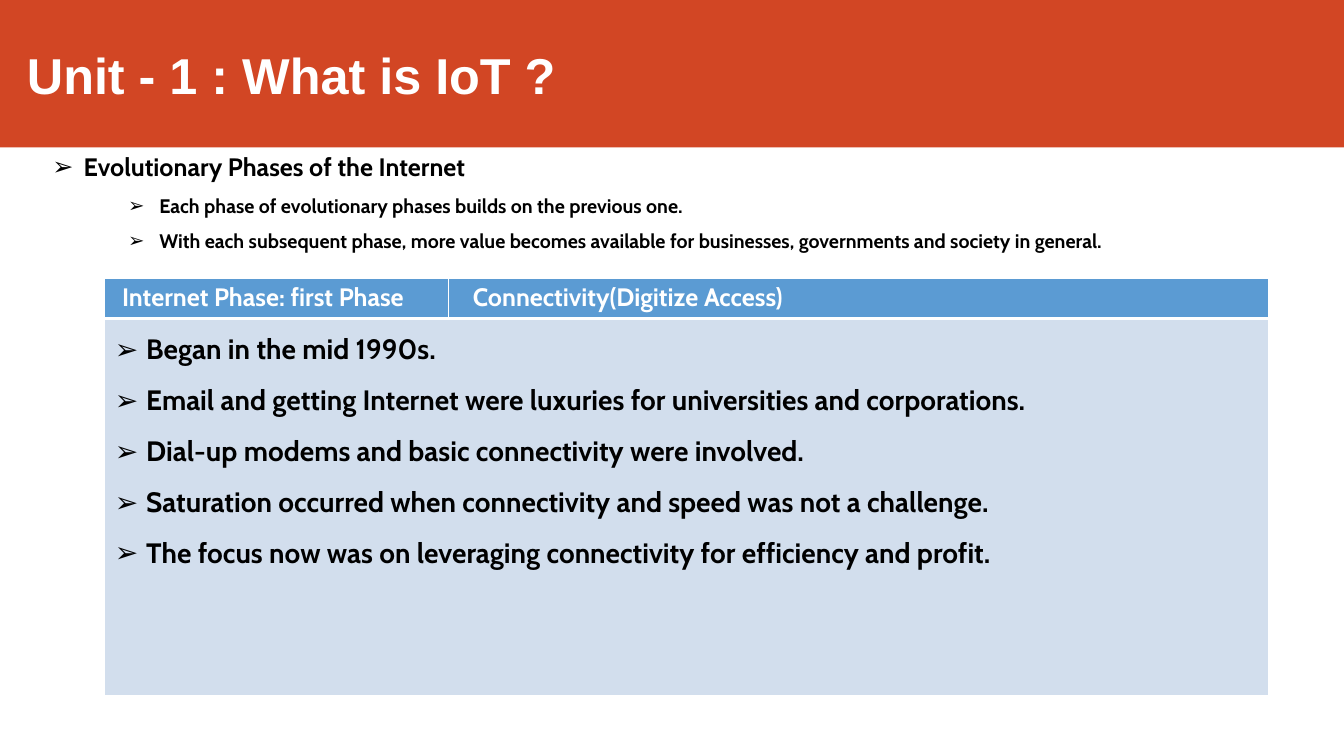
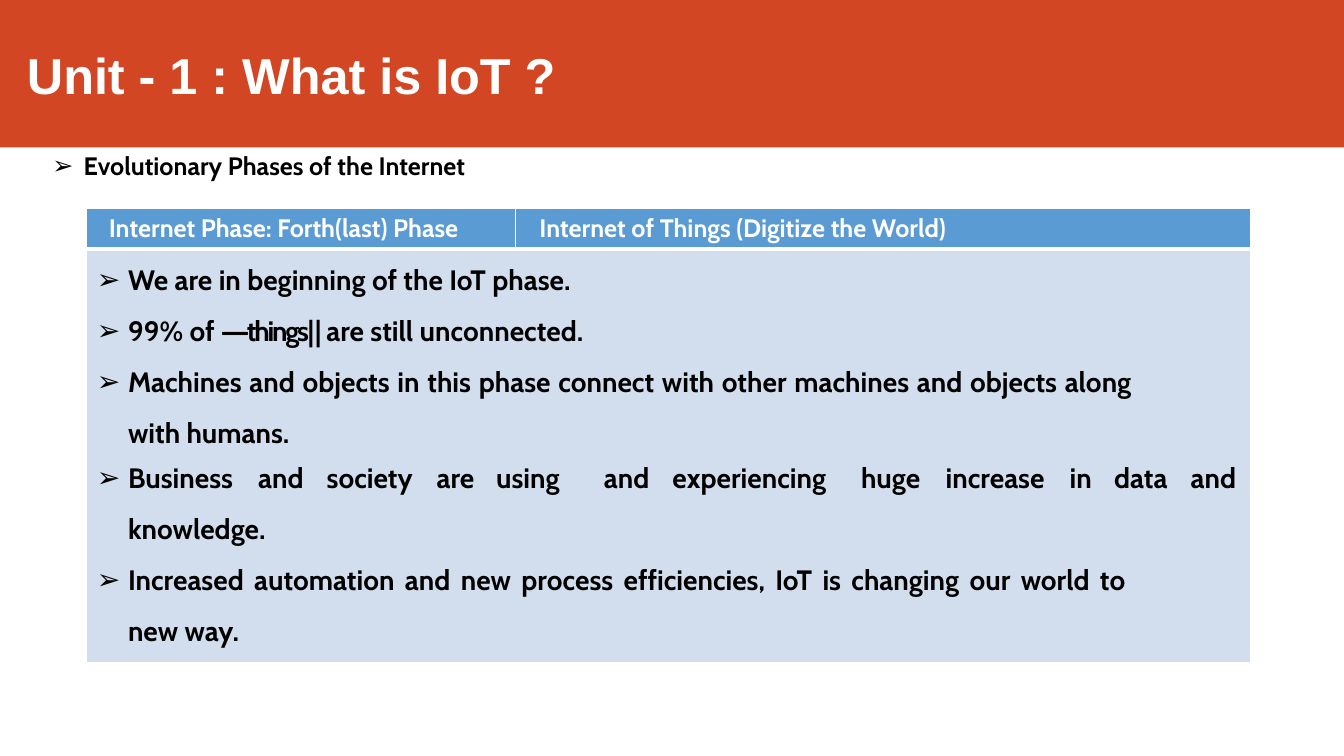
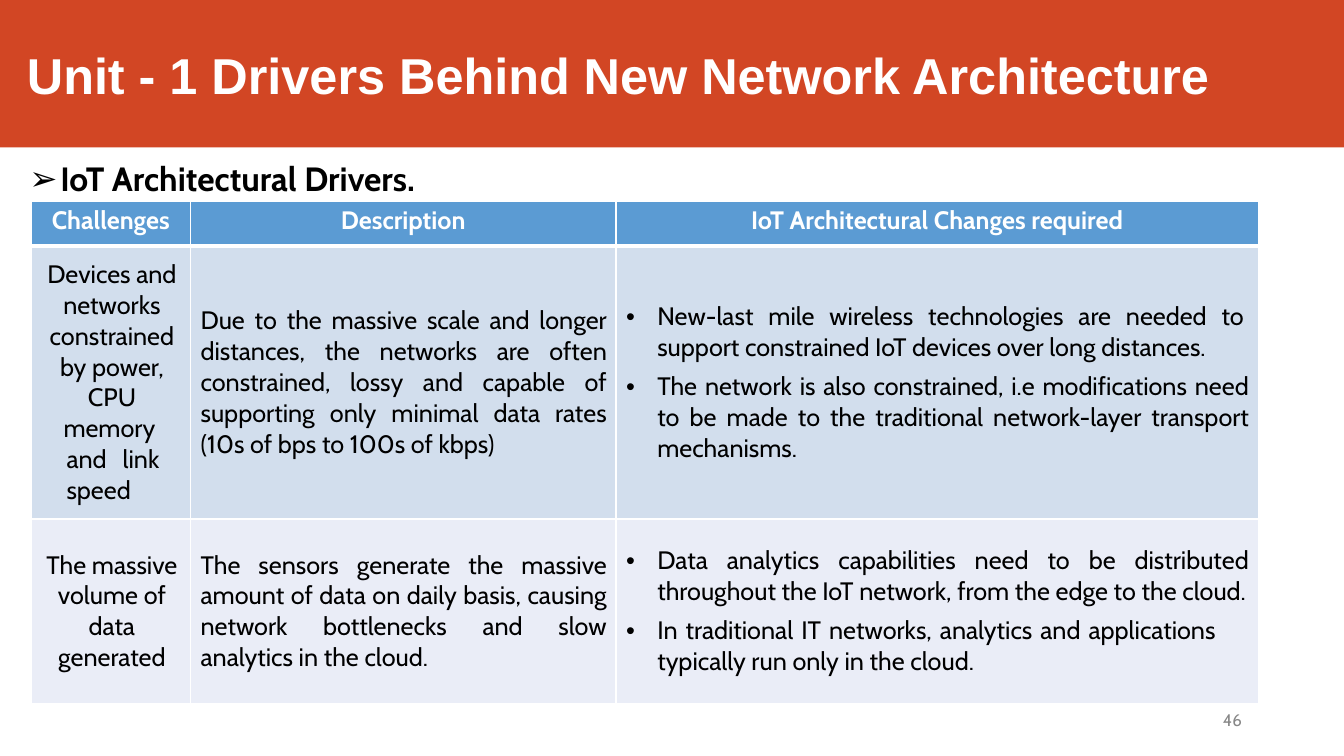
from dataclasses import dataclass

from lxml import etree
from pptx import Presentation
from pptx.dml.color import RGBColor
from pptx.enum.shapes import MSO_SHAPE
from pptx.enum.text import MSO_ANCHOR, PP_ALIGN
from pptx.oxml.ns import qn
from pptx.util import Inches, Pt

# Shared look
WIDTH, HEIGHT = 13.33, 7.5
BAND_HEIGHT = 0.195 * HEIGHT
TITLE_BOX = (0.02 * WIDTH, 0.44, 0.94 * WIDTH, 0.63)
TITLE_FONT, BODY_FONT = "Arial", "Cabin"
ORANGE = RGBColor(0xD2, 0x46, 0x24)
BLUE = RGBColor(0x5B, 0x9B, 0xD3)
PALE_BLUE = RGBColor(0xD2, 0xDE, 0xED)
PALE_LILAC = RGBColor(0xEA, 0xED, 0xF7)
WHITE = RGBColor(0xFF, 0xFF, 0xFF)
BLACK = RGBColor(0, 0, 0)
GREY = RGBColor(0x87, 0x87, 0x87)
LEFT, CENTER, JUSTIFY = PP_ALIGN.LEFT, PP_ALIGN.CENTER, PP_ALIGN.JUSTIFY
TOP, MIDDLE = MSO_ANCHOR.TOP, MSO_ANCHOR.MIDDLE
RECTANGLE = MSO_SHAPE.RECTANGLE
ARROW, DOT = "➢", "•"
HANG = -0.31
THIN, THICK = 1, 3


@dataclass
class Line:
    """One paragraph: lengths in inches, sizes and spacing in points."""
    text: str
    size: float = 18
    bold: bool = True
    color: RGBColor = BLACK
    font: str = BODY_FONT
    align: PP_ALIGN = LEFT
    left: float = 0
    right: float = 0
    first: float = 0
    before: float = 0
    spacing: float = 1
    bullet: str = ""
    tabs: tuple = ()
    tight: str = ""


def arrow(text, left=0.41, size=20, **options):
    return Line(text, size, left=left, first=HANG, bullet=ARROW, **options)


def dot(text, right=0.09, **options):
    return Line(text, bold=False, align=JUSTIFY, left=0.41, right=right,
                first=HANG, bullet=DOT, **options)


def centered(text):
    return Line(text, bold=False, align=CENTER, left=0.12, right=0.1)


def justified(text, left=0.1, right=0.09, **options):
    return Line(text, bold=False, align=JUSTIFY, left=left, right=right, **options)


def header(text, left=0.0, align=LEFT):
    return Line(text, color=WHITE, left=left, align=align)


# Text
def write_paragraph(paragraph, line):
    paragraph.alignment = line.align
    paragraph.space_before = Pt(line.before)
    paragraph.line_spacing = line.spacing
    properties = paragraph._p.get_or_add_pPr()
    properties.set("marL", str(Inches(line.left)))
    properties.set("marR", str(Inches(line.right)))
    properties.set("indent", str(Inches(line.first)))
    if line.bullet:
        etree.SubElement(properties, qn("a:buFont"), typeface="Arial")
        etree.SubElement(properties, qn("a:buChar"), char=line.bullet)
    if line.tabs:
        tab_list = etree.SubElement(properties, qn("a:tabLst"))
        for position in line.tabs:
            etree.SubElement(tab_list, qn("a:tab"), pos=str(Inches(position)), algn="l")
    font = paragraph.font
    font.name, font.size, font.bold = line.font, Pt(line.size), line.bold
    font.color.rgb = line.color
    pieces = line.text.partition(line.tight) if line.tight else (line.text,)
    for piece in filter(None, pieces):
        run = paragraph.add_run()
        run.text = piece
        if piece == line.tight:
            run.font._element.set("spc", "-160")


def write_lines(frame, lines):
    for index, line in enumerate(lines):
        paragraph = frame.add_paragraph() if index else frame.paragraphs[0]
        write_paragraph(paragraph, line)


def add_text(slide, box, *lines):
    frame = slide.shapes.add_textbox(*map(Inches, box)).text_frame
    frame.word_wrap = True
    frame.margin_left = frame.margin_top = frame.margin_right = frame.margin_bottom = 0
    write_lines(frame, lines)


# Tables
def set_borders(cell, **widths):
    properties = cell._tc.get_or_add_tcPr()
    for position, side in enumerate("LRTB"):
        width = widths.get(side, THIN)
        border = etree.Element(qn("a:ln" + side), w=str(Pt(width)))
        fill = etree.SubElement(border, qn("a:solidFill"))
        etree.SubElement(fill, qn("a:srgbClr"), val=str(WHITE))
        properties.insert(position, border)


def add_table(slide, left, top, columns, rows, cells, body_anchor, body_top=0.0):
    frame = slide.shapes.add_table(len(rows), len(columns), Inches(left), Inches(top),
                                   Inches(sum(columns)), Inches(sum(rows)))
    table = frame.table
    table.first_row = table.horz_banding = False
    for column, width in zip(table.columns, columns):
        column.width = Inches(width)
    for row, height in zip(table.rows, rows):
        row.height = Inches(height)
    for r, row_cells in enumerate(cells):
        if len(row_cells) < len(columns):
            table.cell(r, 0).merge(table.cell(r, len(columns) - 1))
        for c in range(len(columns)):
            cell = table.cell(r, c)
            cell.margin_left = cell.margin_right = cell.margin_bottom = 0
            cell.margin_top = Inches(body_top if r else 0.04)
            cell.vertical_anchor = body_anchor if r else TOP
            cell.fill.solid()
            cell.fill.fore_color.rgb = (BLUE, PALE_BLUE, PALE_LILAC)[r]
            set_borders(cell, T=THICK if r == 1 else THIN, B=THIN if r else THICK)
            if c < len(row_cells):
                write_lines(cell.text_frame, row_cells[c])


# Slides
def add_slide(presentation, title):
    slide = presentation.slides.add_slide(presentation.slide_layouts[6])
    band = slide.shapes.add_shape(RECTANGLE, 0, 0, Inches(WIDTH), Inches(BAND_HEIGHT))
    band.shadow.inherit = False
    band.fill.solid()
    band.fill.fore_color.rgb = ORANGE
    band.line.fill.background()
    add_text(slide, TITLE_BOX, Line(title, 36, color=WHITE, font=TITLE_FONT))
    return slide


def add_first_phase(presentation):
    slide = add_slide(presentation, "Unit - 1 : What is IoT ?")
    add_text(
        slide, (0.5, 1.5, 11.28, 1.01),
        arrow("Evolutionary Phases of the Internet", 0.33, 18),
        arrow("Each phase of evolutionary phases builds on the previous one.",
              1.08, 14, before=9.2),
        arrow("With each subsequent phase, more value becomes available for "
              "businesses, governments and society in general.", 1.08, 14, before=7.9))
    facts = [
        "Began in the mid 1990s.",
        "Email and getting Internet were luxuries for universities and corporations.",
        "Dial-up modems and basic connectivity were involved.",
        "Saturation occurred when connectivity and speed was not a challenge.",
        "The focus now was on leveraging connectivity for efficiency and profit.",
    ]
    add_table(slide, 1.04, 2.76, (3.41, 8.13), (0.4, 3.74), [
        [[header("Internet Phase: first Phase", 0.17)],
         [header("Connectivity(Digitize Access)", 0.24)]],
        [[arrow(fact, before=12) for fact in facts]],
    ], TOP, 0.14)


def add_last_phase(presentation):
    slide = add_slide(presentation, "Unit - 1 : What is IoT ?")
    add_text(slide, (0.5, 1.49, 4.46, 0.32),
             arrow("Evolutionary Phases of the Internet", 0.33, 18))
    word_stops = (0.41, 1.7, 2.38, 3.47, 4.06, 5.13, 5.81, 7.68, 8.52, 9.75, 10.19, 10.95)
    facts = [
        arrow("We are in beginning of the IoT phase."),
        arrow("99% of ―things‖ are still unconnected.", before=12, tight="―things‖ "),
        arrow("Machines and objects in this phase connect with other machines and "
              "objects along with humans.", align=JUSTIFY, right=1.17, spacing=1.5),
        arrow("Business\tand\tsociety\tare\tusing\tand\texperiencing\thuge\tincrease"
              "\tin\tdata\tand", before=7.5, tabs=word_stops),
        Line("knowledge.", 20, left=0.41, before=12),
        arrow("Increased automation and new process efficiencies, IoT is changing our "
              "world to new way.", align=JUSTIFY, right=1.23, spacing=1.5),
    ]
    add_table(slide, 0.86, 2.07, (4.25, 7.29), (0.4, 4.1), [
        [[header("Internet Phase: Forth(last) Phase", 0.22)],
         [header("Internet of Things (Digitize the World)", 0.24)]],
        [facts],
    ], TOP, 0.14)


def add_drivers(presentation):
    slide = add_slide(presentation, "Unit - 1 Drivers Behind New Network Architecture")
    add_text(slide, (0.27, 1.57, 4.25, 0.42), arrow("IoT Architectural Drivers.", 0.33, 24))
    headings = ("Challenges", "Description", "IoT Architectural Changes required")
    constrained = [
        [centered("Devices and networks constrained by power, CPU"),
         justified("memory and link speed", 0.35, 0.31, first=-0.03)],
        [justified("Due to the massive scale and longer distances, the networks are often "
                   "constrained, lossy and capable of supporting only minimal data rates "
                   "(10s of bps to 100s of kbps)")],
        [dot("New-last mile wireless technologies are needed to support constrained IoT "
             "devices over long distances.", right=0.14),
         dot("The network is also constrained, i.e modifications need to be made to the "
             "traditional network-layer transport mechanisms.", before=6)],
    ]
    volume = [
        [centered("The massive volume of data generated")],
        [justified("The sensors generate the massive amount of data on daily basis, "
                   "causing network bottlenecks and slow analytics in the cloud.")],
        [dot("Data analytics capabilities need to be distributed throughout the IoT "
             "network, from the edge to the cloud."),
         dot("In traditional IT networks, analytics and applications typically run only "
             "in the cloud.", right=0.42, before=6)],
    ]
    add_table(slide, 0.31, 2, (1.58, 4.22, 6.37), (0.44, 2.71, 1.83), [
        [[header(heading, align=CENTER)] for heading in headings],
        constrained,
        volume,
    ], MIDDLE)
    add_text(slide, (12.13, 7.04, 0.3, 0.22), Line("46", 12, bold=False, color=GREY))


def main():
    presentation = Presentation()
    presentation.slide_width, presentation.slide_height = Inches(WIDTH), Inches(HEIGHT)
    add_first_phase(presentation)
    add_last_phase(presentation)
    add_drivers(presentation)
    presentation.save("out.pptx")


if __name__ == "__main__":
    main()
